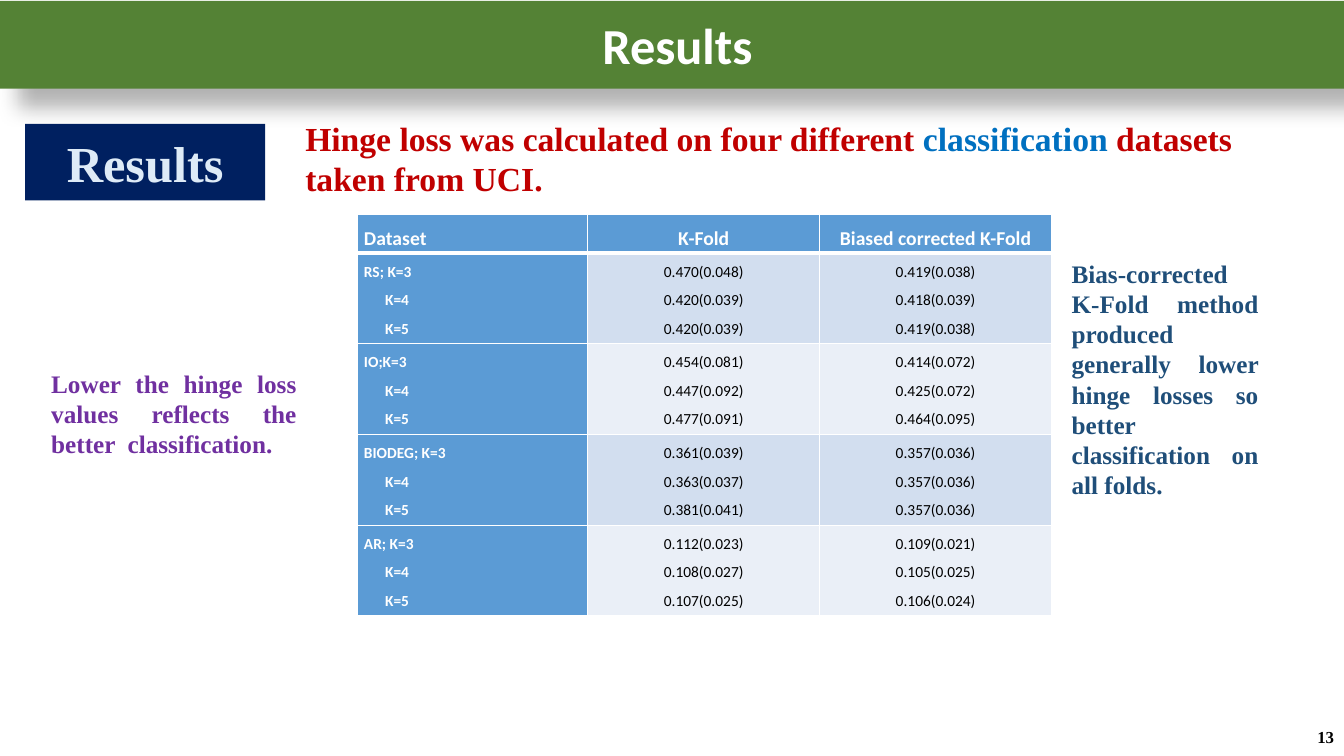
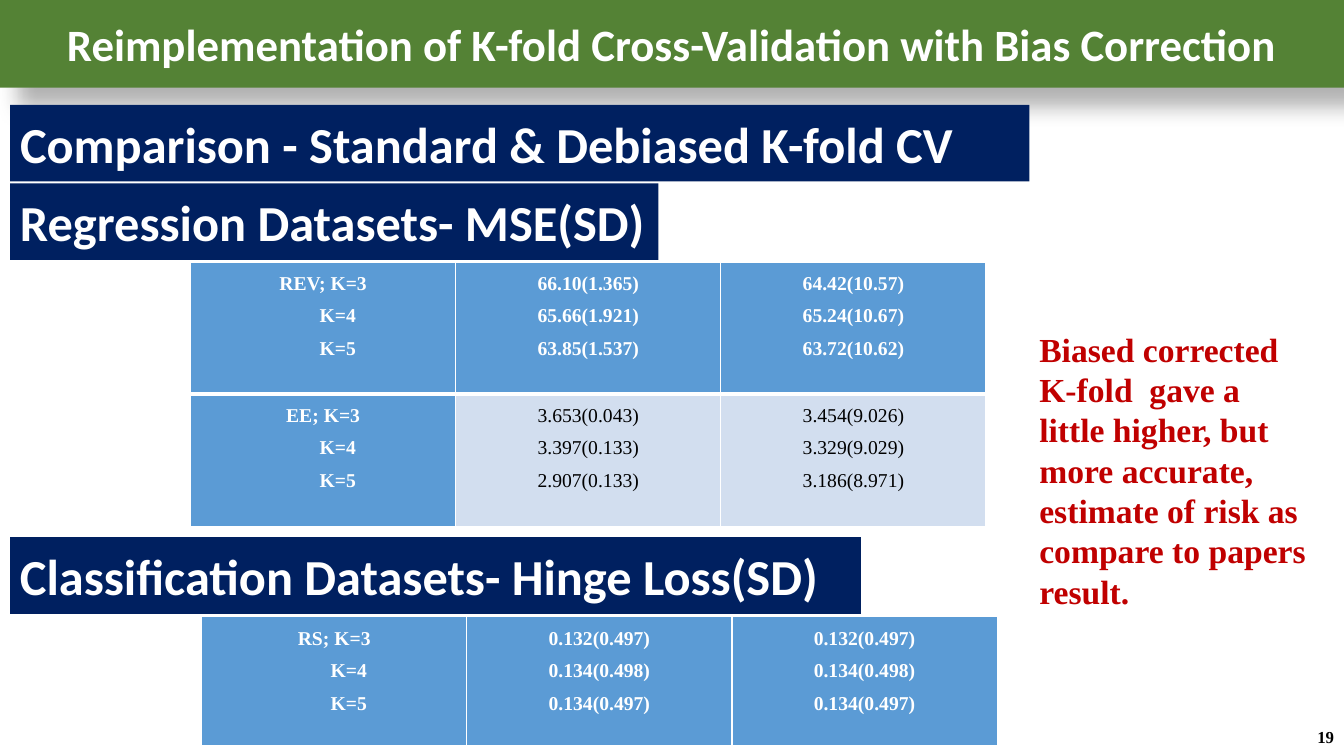
from pptx import Presentation
from pptx import util as u
from pptx.dml.color import RGBColor
from pptx.enum import shapes, text
from pptx.oxml.ns import qn
from lxml import etree

PX = 9144  # EMU in one px: 100 px to the inch
SANS, SERIF = "Calibri", "Times New Roman"
WHITE, BLACK = "FFFFFF", "000000"
GREEN, NAVY, RED = "548235", "002060", "C00000"
BLUE, BANDS = "5B9BD5", ("D2DEEF", "EAEFF7")
LEFT, CENTER = text.PP_ALIGN.LEFT, text.PP_ALIGN.CENTER
RIGHT, JUSTIFY = text.PP_ALIGN.RIGHT, text.PP_ALIGN.JUSTIFY


def px(*lengths):
    return [u.Emu(n * PX) for n in lengths]


def rgb(color):
    return RGBColor.from_string(color)


def paint(shape, color):
    shape.fill.solid()
    shape.fill.fore_color.rgb = rgb(color)


def sub(parent, tag, **attrs):
    return etree.SubElement(parent, qn(tag), {k: str(v) for k, v in attrs.items()})


class Deck:
    """The shared style and the slide being filled."""

    def __init__(self):
        self.prs = Presentation()
        self.prs.slide_width, self.prs.slide_height = px(1333, 750)
        self.s = None

    def slide(self, title, number, size, top=0, indent=0):
        self.s = self.prs.slides.add_slide(self.prs.slide_layouts[6])
        band = self.box(0, top, 1333, 87, GREEN, title, size=size,
                        align=CENTER, indent=indent)
        self.drop_shadow(band)
        self.note(1033, 711, 300, 40, [(number, BLACK)], 12, RIGHT,
                  anchor=text.MSO_ANCHOR.MIDDLE)

    def drop_shadow(self, sp):
        effects = sp._element.spPr.find(qn("a:effectLst"))
        shadow = sub(effects, "a:outerShdw", blurRad=u.Pt(15), dist=u.Pt(18),
                     dir=45 * 60000, algn="tl", rotWithShape=0)
        sub(sub(shadow, "a:srgbClr", val=BLACK), "a:alpha", val=30000)

    def add_runs(self, p, runs, size, font, align, bold=True, indent=0):
        """Fill a paragraph with (text, colour) runs."""
        p.alignment = align
        if indent:
            p._p.get_or_add_pPr().set("marL", str(indent * PX))
        for words, color in runs:
            r = p.add_run()
            r.text = words
            r.font.name, r.font.size, r.font.bold = font, u.Pt(size), bold
            r.font.color.rgb = rgb(color)

    def box(self, x, y, w, h, fill, words, color=WHITE, size=36, font=SANS,
            align=LEFT, indent=0):
        sp = self.s.shapes.add_shape(shapes.MSO_SHAPE.RECTANGLE, *px(x, y, w, h))
        sp.shadow.inherit = False
        paint(sp, fill)
        sp.line.fill.background()
        tf = sp.text_frame
        tf.word_wrap = True
        tf.vertical_anchor = text.MSO_ANCHOR.MIDDLE
        self.add_runs(tf.paragraphs[0], [(words, color)], size, font, align,
                      indent=indent)
        return sp

    def note(self, x, y, w, h, runs, size, align=LEFT, anchor=text.MSO_ANCHOR.TOP):
        tf = self.s.shapes.add_textbox(*px(x, y, w, h)).text_frame
        tf.word_wrap = True
        tf.vertical_anchor = anchor
        self.add_runs(tf.paragraphs[0], runs, size, SERIF, align)

    def table(self, x, y, widths, heights, rows, font, size, head_size,
              label_align, indent):
        """Draw rows of cells, each cell a list of lines; the first row is the head."""
        frame = self.s.shapes.add_table(len(rows), len(widths),
                                        *px(x, y, sum(widths), sum(heights)))
        grid = frame.table
        for col, w in zip(grid.columns, px(*widths)):
            col.width = w
        for row, h in zip(grid.rows, px(*heights)):
            row.height = h
        for i, row in enumerate(rows):
            for j, lines in enumerate(row):
                cell = grid.cell(i, j)
                strong = i == 0 or j == 0
                self.borders(cell, i)
                paint(cell, BLUE if strong else BANDS[(i - 1) % 2])
                cell.margin_left, cell.margin_right = px(7, 7)
                cell.margin_top = cell.margin_bottom = 0
                tf = cell.text_frame
                for k, line in enumerate(lines):
                    p = tf.add_paragraph() if k else tf.paragraphs[0]
                    p.line_spacing = 1.5
                    self.add_runs(p, [(line, WHITE if strong else BLACK)],
                                  size if i else head_size, font,
                                  CENTER if j else label_align, strong,
                                  0 if j or not k else indent)

    def borders(self, cell, row):
        """White rules, thicker under the head row."""
        tc_pr = cell._tc.get_or_add_tcPr()
        widths = {"L": 1, "R": 1, "T": 3 if row == 1 else 1, "B": 1 if row else 3}
        for side, width in widths.items():
            ln = sub(tc_pr, "a:ln" + side, w=u.Pt(width))
            sub(sub(ln, "a:solidFill"), "a:srgbClr", val=WHITE)


def group(name, k_fold, corrected):
    """One table row: a dataset at K=3, 4 and 5 with both sets of losses."""
    return [[name, "K=4", "K=5"], k_fold.split(), corrected.split()]


def results(deck):
    deck.slide("Results", "13", 36, top=1, indent=11)
    deck.box(25, 123, 238, 76, NAVY, "Results", "DEEBF7", font=SERIF, align=CENTER)
    deck.note(293, 112, 990, 91, [
        ("Hinge loss was calculated on four different ", RED),
        ("classification", "0070C0"),
        (" datasets taken from UCI.", RED)], 24)
    deck.table(354, 213, [229, 230, 230], [38] + [90] * 4, [
        [["Dataset"], ["K-Fold"], ["Biased corrected K-Fold"]],
        group("RS; K=3", "0.470(0.048) 0.420(0.039) 0.420(0.039)",
              "0.419(0.038) 0.418(0.039) 0.419(0.038)"),
        group("IO;K=3", "0.454(0.081) 0.447(0.092) 0.477(0.091)",
              "0.414(0.072) 0.425(0.072) 0.464(0.095)"),
        group("BIODEG; K=3", "0.361(0.039) 0.363(0.037) 0.381(0.041)",
              "0.357(0.036) 0.357(0.036) 0.357(0.036)"),
        group("AR; K=3", "0.112(0.023) 0.108(0.027) 0.107(0.025)",
              "0.109(0.021) 0.105(0.025) 0.106(0.024)"),
    ], SANS, 11, 14, JUSTIFY, 21)
    deck.note(41, 360, 263, 101, [
        ("Lower the hinge loss values reflects the better  classification.",
         "7030A0")], 18, JUSTIFY)
    deck.note(1053, 251, 205, 252, [
        ("Bias-corrected K-Fold method produced generally lower hinge losses "
         "so better classification on all folds.", "1F4E79")], 18, JUSTIFY)


def comparison(deck):
    deck.slide("Reimplementation of K-fold Cross-Validation with Bias Correction",
               "19", 32)
    for y, w, heading in [(104, 1011, "Comparison - Standard & Debiased K-fold CV"),
                          (182, 643, "Regression Datasets- MSE(SD)"),
                          (533, 844, "Classification Datasets- Hinge Loss(SD)")]:
        deck.box(10, y, w, 76, NAVY, heading)
    regression = [
        group("REV; K=3", "66.10(1.365) 65.66(1.921) 63.85(1.537)",
              "64.42(10.57) 65.24(10.67) 63.72(10.62)"),
        group("EE; K=3", "3.653(0.043) 3.397(0.133) 2.907(0.133)",
              "3.454(9.026) 3.329(9.029) 3.186(8.971)")]
    classification = [
        group("RS; K=3", "0.132(0.497) 0.134(0.498) 0.134(0.497)",
              "0.132(0.497) 0.134(0.498) 0.134(0.497)")]
    for x, y, heights, rows in [(189, 260, [131, 131], regression),
                                (200, 612, [129], classification)]:
        deck.table(x, y, [263] * 3, heights, rows, SERIF, 14, 14, CENTER, 29)
    deck.note(1021, 321, 291, 293, [
        ("Biased corrected K-fold  gave a little higher, but more accurate, "
         "estimate of risk as compare to papers result.", RED)], 24)


def main():
    deck = Deck()
    results(deck)
    comparison(deck)
    deck.prs.save("out.pptx")


if __name__ == "__main__":
    main()
